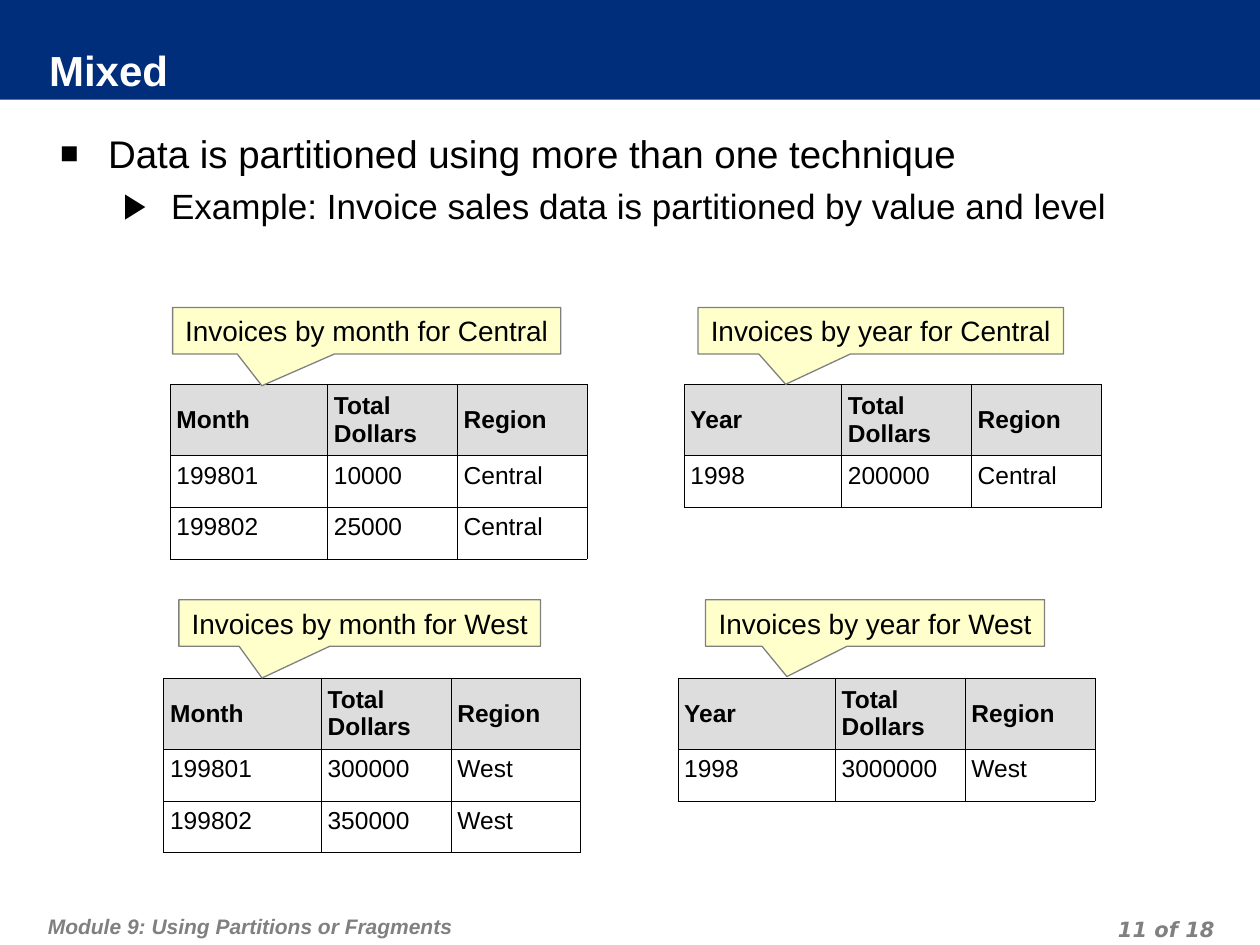
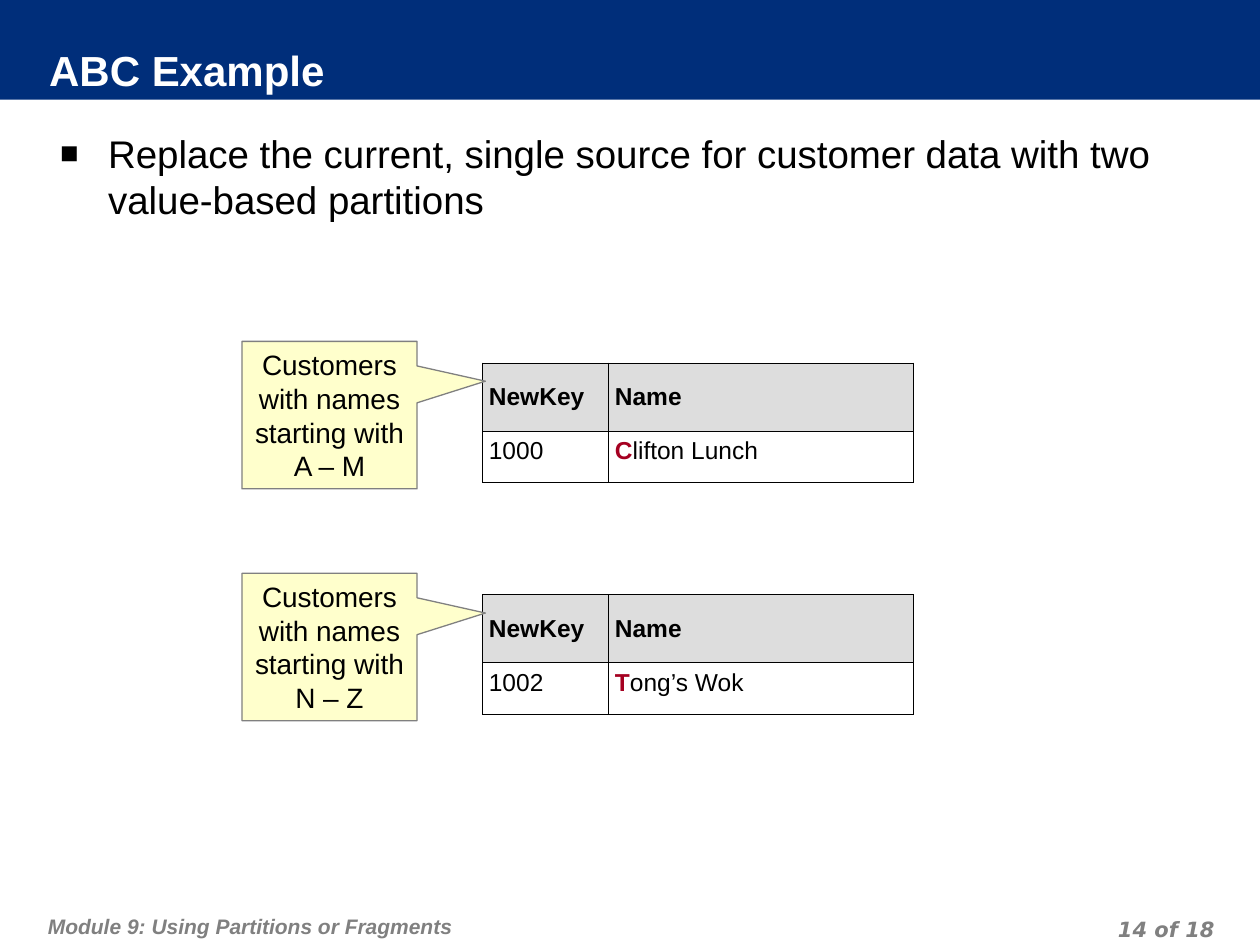
from lxml import etree
from pptx import Presentation
from pptx.dml.color import RGBColor
from pptx.enum.shapes import MSO_SHAPE as SHAPE
from pptx.enum.text import MSO_ANCHOR as ANCHOR, PP_ALIGN as ALIGN
from pptx.oxml import parse_xml
from pptx.oxml.ns import nsdecls, qn
from pptx.util import Inches, Pt

BLUE = RGBColor(0x00, 0x2E, 0x7A)
WHITE = RGBColor(0xFF, 0xFF, 0xFF)
BLACK = RGBColor(0x00, 0x00, 0x00)
GRAY = RGBColor(0x80, 0x80, 0x80)
HEADER_GRAY = RGBColor(0xDD, 0xDD, 0xDD)
YELLOW = RGBColor(0xFF, 0xFF, 0xCC)
RED = RGBColor(0xA5, 0x00, 0x21)

MODULE = "Module 9: Using Partitions or Fragments"
PAGE_COUNT = 18
# Per level: bullet, bullet size in percent, left margin, text size, space before
BULLETS = [("■", 80, 0.38, 22, 5.5), ("▶", 100, 0.88, 20, 5)]
HANGING = 0.38
HEADER_HEIGHT, ROW_HEIGHT = 0.54, 0.41

MONTH_HEAD = ["Month", "Total Dollars", "Region"]
YEAR_HEAD = ["Year", "Total Dollars", "Region"]
CUSTOMER_HEAD = ["NewKey", "Name"]
INVOICE_COLUMNS = [1.25, 1.03, 1.03]
CUSTOMER_COLUMNS = [1, 2.42]
MONTH_TIP, YEAR_TIP, CUSTOMER_TIP = (-0.27, 1.18), (-0.26, 1.15), (0.89, -0.23)

# Per partition: callout text, box and tip, table corner, column widths, rows
SLIDES = [
    {
        "title": "Mixed",
        "page": 11,
        "bullets": [
            (0, "Data is partitioned using more than one technique"),
            (1, "Example: Invoice sales data is partitioned by value and level"),
        ],
        "mark_initial": False,
        "partitions": [
            ("Invoices by month for Central", (1.37, 2.44, 3.08, 0.37), MONTH_TIP,
             (1.35, 3.05), INVOICE_COLUMNS,
             [MONTH_HEAD, ["199801", "10000", "Central"], ["199802", "25000", "Central"]]),
            ("Invoices by year for Central", (5.54, 2.44, 2.9, 0.37), YEAR_TIP,
             (5.43, 3.05), INVOICE_COLUMNS,
             [YEAR_HEAD, ["1998", "200000", "Central"]]),
            ("Invoices by month for West", (1.42, 4.76, 2.87, 0.37), MONTH_TIP,
             (1.3, 5.38), INVOICE_COLUMNS,
             [MONTH_HEAD, ["199801", "300000", "West"], ["199802", "350000", "West"]]),
            ("Invoices by year for West", (5.6, 4.76, 2.69, 0.37), YEAR_TIP,
             (5.38, 5.38), INVOICE_COLUMNS,
             [YEAR_HEAD, ["1998", "3000000", "West"]]),
        ],
    },
    {
        "title": "ABC Example",
        "page": 14,
        "bullets": [
            (0, "Replace the current, single source for customer data "
                "with two value-based partitions"),
        ],
        "mark_initial": True,
        "partitions": [
            ("Customers with names starting with A – M", (1.92, 2.71, 1.39, 1.17),
             CUSTOMER_TIP, (3.83, 2.88), CUSTOMER_COLUMNS,
             [CUSTOMER_HEAD, ["1000", "Clifton Lunch"]]),
            ("Customers with names starting with N – Z", (1.92, 4.55, 1.39, 1.17),
             CUSTOMER_TIP, (3.83, 4.72), CUSTOMER_COLUMNS,
             [CUSTOMER_HEAD, ["1002", "Tong’s Wok"]]),
        ],
    },
]


def add_run(paragraph, text, size, color=BLACK, name="Arial", bold=False, italic=False):
    run = paragraph.add_run()
    run.text = text
    run.font.color.rgb = color
    styles = {"size": Pt(size), "name": name, "bold": bold, "italic": italic}
    for attribute, value in styles.items():
        setattr(run.font, attribute, value)


def prepare_frame(frame, margins, anchor=ANCHOR.TOP, wrap=True):
    """Set wrapping, anchor and the left, top, right and bottom margins."""
    frame.word_wrap = wrap
    frame.vertical_anchor = anchor
    for side, margin in zip(("left", "top", "right", "bottom"), margins):
        setattr(frame, f"margin_{side}", Inches(margin))
    return frame.paragraphs[0]


prs = Presentation()
prs.slide_width, prs.slide_height = Inches(10), Inches(7.5)

for content in SLIDES:
    slide = prs.slides.add_slide(prs.slide_layouts[6])
    shapes = slide.shapes

    band = shapes.add_shape(SHAPE.RECTANGLE, 0, 0, prs.slide_width, Inches(0.79))
    band.shadow.inherit = False
    band.fill.solid()
    band.fill.fore_color.rgb = BLUE
    band.line.fill.background()

    footers = [
        (MODULE, (0.33, 7.1, 6.18, 0.4), (0.05, 0.1, 0.05, 0.05), ALIGN.LEFT, "Arial"),
        (f"{content['page']} of {PAGE_COUNT}", (7.36, 7.22, 2.33, 0.25),
         (0.05, 0, 0.05, 0), ALIGN.RIGHT, "DejaVu Sans"),
    ]
    for text, box, margins, align, font_name in footers:
        footer = shapes.add_textbox(*map(Inches, box))
        paragraph = prepare_frame(footer.text_frame, margins)
        paragraph.alignment = align
        paragraph.line_spacing = Pt(18)
        add_run(paragraph, text, 12, GRAY, font_name, bold=True, italic=True)

    title = shapes.add_textbox(*map(Inches, (0.39, 0.38, 7.87, 0.4)))
    title.fill.solid()
    title.fill.fore_color.rgb = BLUE
    paragraph = prepare_frame(title.text_frame, (0, 0, 0.05, 0.05), ANCHOR.MIDDLE)
    add_run(paragraph, content["title"], 24, WHITE, bold=True)

    body = shapes.add_textbox(*map(Inches, (0.38, 0.93, 9.3, 6.18)))
    paragraph = prepare_frame(body.text_frame, (0.1, 0.1, 0.1, 0.05))
    for index, (level, text) in enumerate(content["bullets"]):
        symbol, percent, left, size, space = BULLETS[level]
        if index:
            paragraph = body.text_frame.add_paragraph()
            paragraph.space_before = Pt(space)
        paragraph.level = level
        properties = paragraph._p.get_or_add_pPr()
        properties.set("marL", str(Inches(left)))
        properties.set("indent", str(-Inches(HANGING)))
        color = etree.SubElement(properties, qn("a:buClr"))
        etree.SubElement(color, qn("a:srgbClr"), val=str(BLACK))
        etree.SubElement(properties, qn("a:buSzPct"), val=str(percent * 1000))
        etree.SubElement(properties, qn("a:buFont"), typeface="Arial")
        etree.SubElement(properties, qn("a:buChar"), char=symbol)
        add_run(paragraph, text, size)

    for label, box, tip, corner, widths, rows in content["partitions"]:
        height = HEADER_HEIGHT + ROW_HEIGHT * (len(rows) - 1)
        table = shapes.add_table(len(rows), len(widths), *map(Inches, corner),
                                 Inches(sum(widths)), Inches(height)).table
        table.first_row = table.horz_banding = False
        for column, width in zip(table.columns, widths):
            column.width = Inches(width)
        for row_index, values in enumerate(rows):
            is_header = row_index == 0
            table.rows[row_index].height = Inches(HEADER_HEIGHT if is_header else ROW_HEIGHT)
            for column_index, value in enumerate(values):
                cell = table.cell(row_index, column_index)
                cell.fill.solid()
                cell.fill.fore_color.rgb = HEADER_GRAY if is_header else WHITE
                cell.vertical_anchor = ANCHOR.MIDDLE if is_header else ANCHOR.TOP
                cell.margin_left = cell.margin_top = cell.margin_bottom = Inches(0.05)
                cell.margin_right = Inches(0.02)
                paragraph = cell.text_frame.paragraphs[0]
                if content["mark_initial"] and not is_header and column_index == 1:
                    add_run(paragraph, value[0], 14, RED, bold=True)
                    value = value[1:]
                add_run(paragraph, value, 14, bold=is_header)
                for position, edge in enumerate(("lnL", "lnR", "lnT", "lnB")):
                    border = parse_xml(
                        f'<a:{edge} {nsdecls("a")} w="{Pt(0.45)}"><a:solidFill>'
                        f'<a:srgbClr val="{BLACK}"/></a:solidFill></a:{edge}>')
                    cell._tc.get_or_add_tcPr().insert(position, border)

        callout = shapes.add_shape(SHAPE.RECTANGULAR_CALLOUT, *map(Inches, box))
        callout.shadow.inherit = False
        callout.adjustments[0], callout.adjustments[1] = tip
        callout.fill.solid()
        callout.fill.fore_color.rgb = YELLOW
        callout.line.color.rgb = GRAY
        callout.line.width = Pt(0.75)
        paragraph = prepare_frame(callout.text_frame, (0.1, 0.05, 0.1, 0.05),
                                  ANCHOR.MIDDLE, wrap=content["mark_initial"])
        paragraph.alignment = ALIGN.CENTER
        add_run(paragraph, label, 16)

prs.save("out.pptx")
